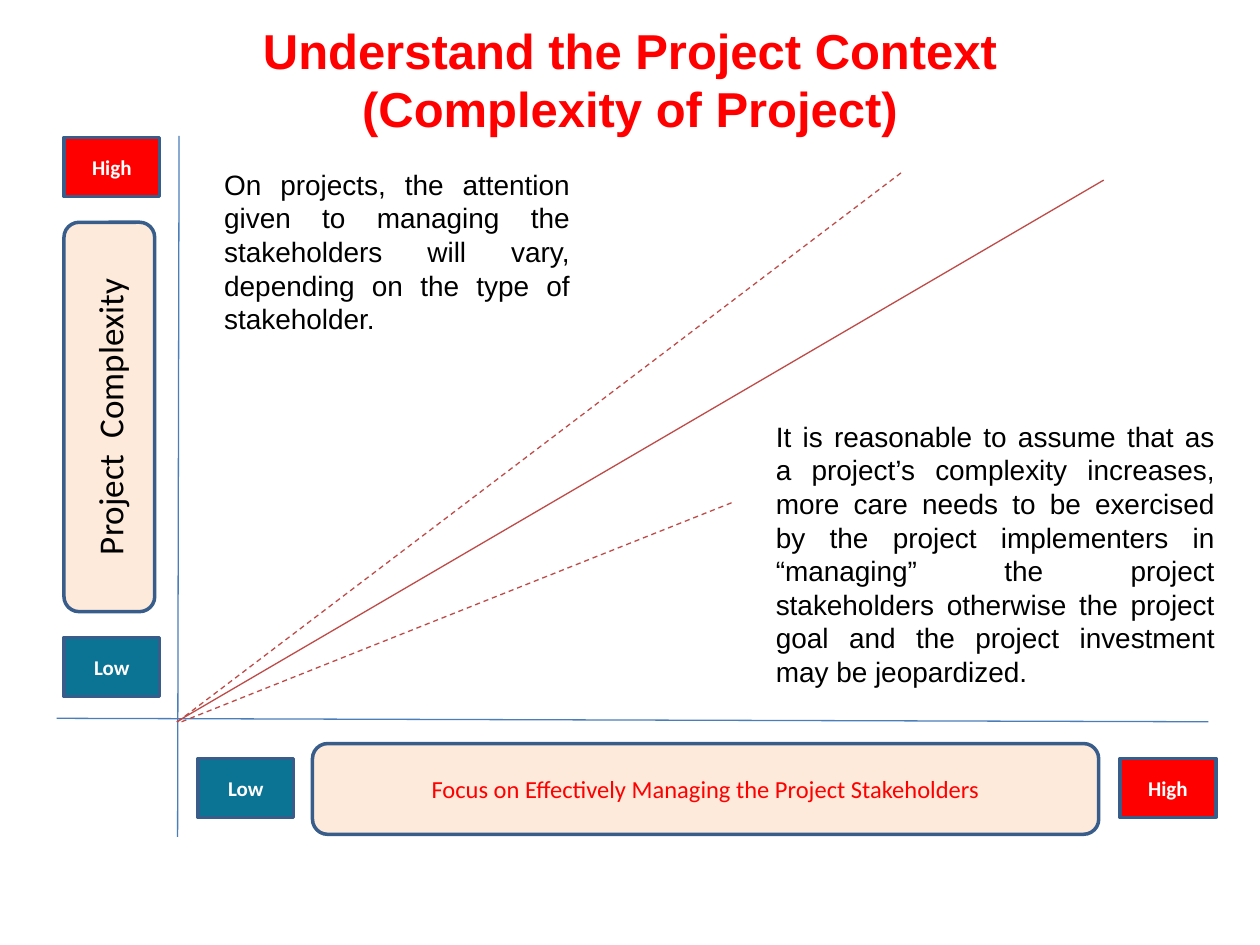
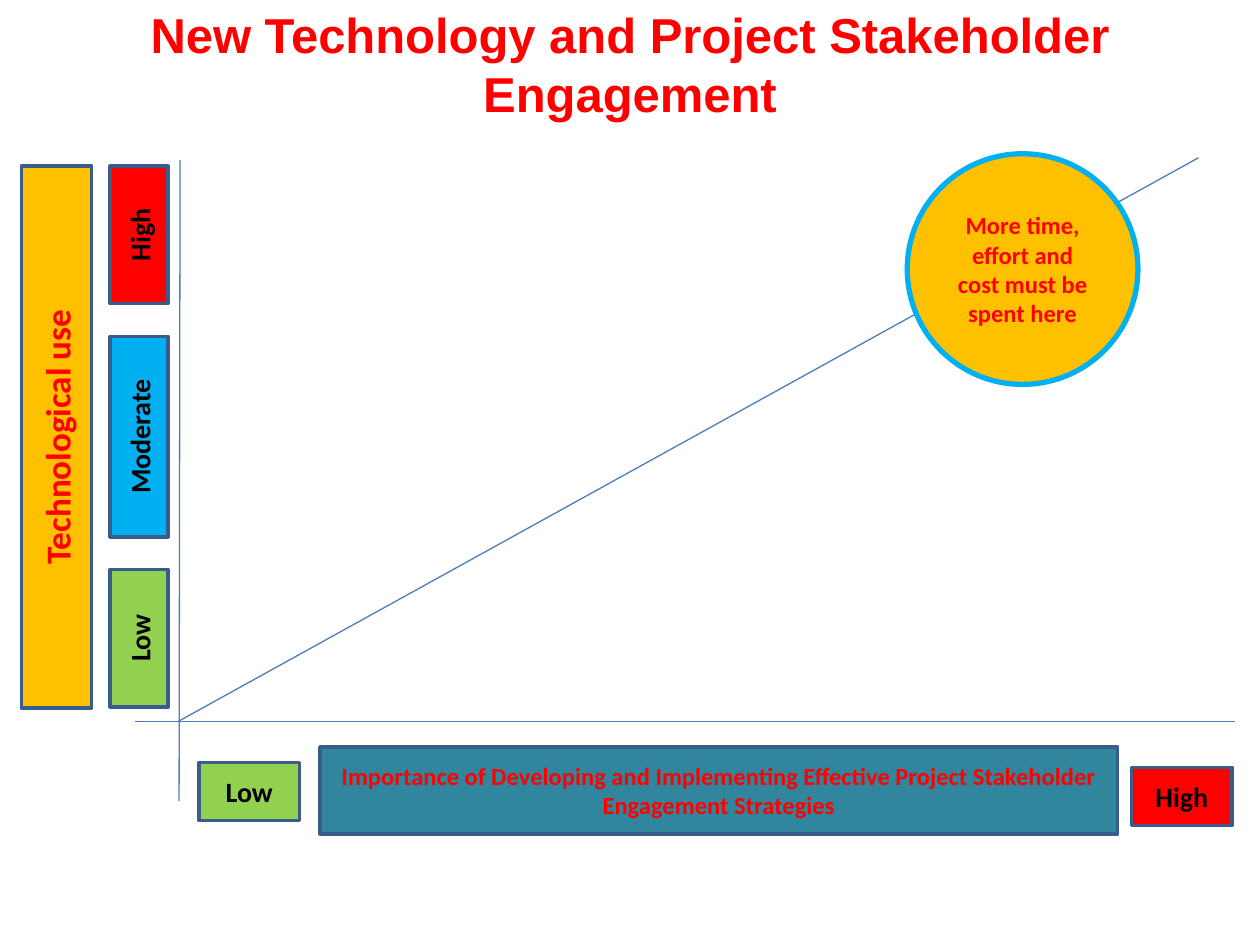
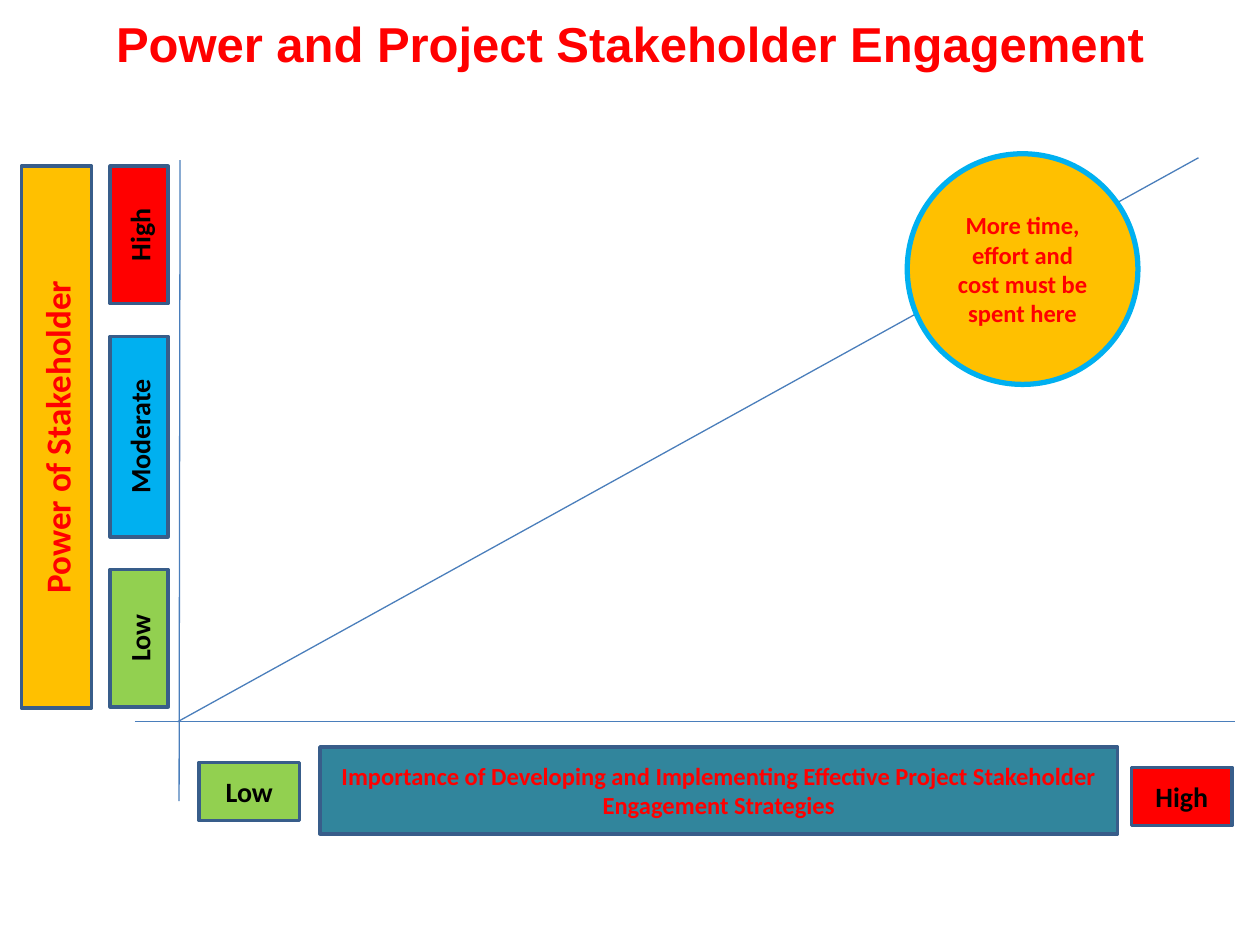
from dataclasses import dataclass, replace

from lxml.etree import SubElement
from pptx import Presentation
from pptx.dml.color import RGBColor
from pptx.enum.dml import MSO_LINE
from pptx.enum.shapes import MSO_CONNECTOR, MSO_SHAPE
from pptx.enum.text import MSO_ANCHOR, MSO_AUTO_SIZE, PP_ALIGN
from pptx.oxml.ns import qn
from pptx.util import Cm, Pt

RED = RGBColor(0xFF, 0x00, 0x00)
WHITE = RGBColor(0xFF, 0xFF, 0xFF)
BLACK = RGBColor(0x00, 0x00, 0x00)
PEACH = RGBColor(0xFD, 0xEA, 0xDA)
PETROL = RGBColor(0x0B, 0x73, 0x93)
TEAL = RGBColor(0x31, 0x85, 0x9C)
AMBER = RGBColor(0xFF, 0xC0, 0x00)
SKY = RGBColor(0x00, 0xB0, 0xF0)
GREEN = RGBColor(0x92, 0xD0, 0x50)
BORDER = RGBColor(0x38, 0x5D, 0x8A)
AXIS_BLUE = RGBColor(0x4A, 0x7E, 0xBB)
TREND_RED = RGBColor(0xBE, 0x4B, 0x48)

TITLE_ONLY_LAYOUT = 5


@dataclass(frozen=True)
class Box:
    """A rectangle in centimetres."""

    left: float
    top: float
    width: float
    height: float

    def inner(self, left, top, width, height):
        """Return a rectangle placed relative to this one."""
        return Box(self.left + left, self.top + top, width, height)

    def turned(self):
        """Return the rectangle that covers this one after a quarter turn."""
        shift = (self.width - self.height) / 2
        return Box(self.left + shift, self.top - shift, self.height, self.width)

    def lengths(self):
        """Return left, top, width and height as slide lengths."""
        return [Cm(value) for value in (self.left, self.top, self.width, self.height)]


@dataclass(frozen=True)
class TextStyle:
    """The look of a text."""

    size: int
    color: RGBColor
    bold: bool = True
    font: str = "Calibri"
    alignment: PP_ALIGN = PP_ALIGN.CENTER


@dataclass(frozen=True)
class Label:
    """A filled box with text."""

    text: str
    fill: RGBColor
    style: TextStyle
    preset: MSO_SHAPE = MSO_SHAPE.RECTANGLE
    border: RGBColor = BORDER
    border_width: float = 2


TITLE_STYLE = TextStyle(28, RED, font="Arial")
NOTE_STYLE = TextStyle(16, BLACK, False, "Arial", PP_ALIGN.JUSTIFY)
END_STYLE = TextStyle(12, WHITE)
LEVEL_STYLE = TextStyle(16, BLACK)

COMPLEXITY_HIGH = Label("High", RED, END_STYLE)
COMPLEXITY_LOW = Label("Low", PETROL, END_STYLE)
LEVEL_HIGH = Label("High", RED, LEVEL_STYLE)
LEVEL_MODERATE = Label("Moderate", SKY, LEVEL_STYLE)
LEVEL_LOW = Label("Low", GREEN, LEVEL_STYLE)
AXIS_NAME = Label("", AMBER, TextStyle(20, RED))
COMPLEXITY_BAR = Label("Project  Complexity", PEACH, TextStyle(20, BLACK, False),
                       MSO_SHAPE.ROUNDED_RECTANGLE)
FOCUS_BAR = Label("Focus on Effectively Managing the Project Stakeholders", PEACH,
                  TextStyle(14, RED, False), MSO_SHAPE.ROUNDED_RECTANGLE)
IMPORTANCE_BAR = Label(
    "Importance of Developing and Implementing Effective Project Stakeholder "
    "Engagement Strategies", TEAL, TextStyle(14, RED))
EFFORT_CIRCLE = Label("More time, effort and cost must be spent here", AMBER,
                      TextStyle(14, RED), MSO_SHAPE.OVAL, SKY, 3)


def write_text(paragraph, lines, style):
    """Write lines into one paragraph, run by run."""
    paragraph.alignment = style.alignment
    for index, line in enumerate(lines):
        if index:
            paragraph.add_line_break()
        run = paragraph.add_run()
        run.text = line
        run.font.name = style.font
        run.font.size = Pt(style.size)
        run.font.bold = style.bold
        run.font.color.rgb = style.color


def add_titled_slide(presentation, box, *lines):
    """Add a slide and place its title in the box."""
    slide = presentation.slides.add_slide(presentation.slide_layouts[TITLE_ONLY_LAYOUT])
    title = slide.shapes.title
    title.left, title.top, title.width, title.height = box.lengths()
    frame = title.text_frame
    frame.word_wrap = True
    frame.auto_size = MSO_AUTO_SIZE.NONE
    frame.vertical_anchor = MSO_ANCHOR.MIDDLE
    write_text(frame.paragraphs[0], lines, TITLE_STYLE)
    return slide


def add_label(slide, box, label, upright=False):
    """Add a label that fills the box, with text reading upward if upright."""
    placed = box.turned() if upright else box
    shape = slide.shapes.add_shape(label.preset, *placed.lengths())
    shape.rotation = 270 if upright else 0
    shape.shadow.inherit = False
    shape.fill.solid()
    shape.fill.fore_color.rgb = label.fill
    shape.line.color.rgb = label.border
    shape.line.width = Pt(label.border_width)
    frame = shape.text_frame
    frame.word_wrap = True
    frame.vertical_anchor = MSO_ANCHOR.MIDDLE
    write_text(frame.paragraphs[0], [label.text], label.style)


def add_note(slide, box, text):
    """Add a justified note in the box."""
    note = slide.shapes.add_textbox(*box.lengths())
    note.line.color.rgb = WHITE
    note.line.width = Pt(0.75)
    note.text_frame.word_wrap = True
    write_text(note.text_frame.paragraphs[0], [text], NOTE_STYLE)


def add_line(slide, box, start, end, color, dashed=False):
    """Add a thin line between two points relative to the box."""
    points = [Cm(value) for x, y in (start, end) for value in (box.left + x, box.top + y)]
    connector = slide.shapes.add_connector(MSO_CONNECTOR.STRAIGHT, *points)
    connector.line.color.rgb = color
    connector.line.width = Pt(0.75)
    if dashed:
        connector.line.dash_style = MSO_LINE.DASH
    SubElement(connector._element.spPr, qn("a:effectLst"))


def add_bottom_scale(slide, box, low, high, bar, bar_span, end_size, drops):
    """Add a bar between a low label and a high label."""
    width, height = end_size
    low_drop, high_drop = drops
    bar_left, bar_width = bar_span
    add_label(slide, box.inner(0, low_drop, width, height), low)
    add_label(slide, box.inner(bar_left, 0, bar_width, box.height), bar)
    add_label(slide, box.inner(box.width - width, high_drop, width, height), high)


def add_complexity_scale(slide, box):
    """Add the upright complexity bar between its high and low labels."""
    end_height = 1.19
    gap = 0.52
    bar_top = end_height + gap
    bar_height = box.height - 2 * bar_top
    add_label(slide, box.inner(0, 0, box.width, end_height), COMPLEXITY_HIGH)
    add_label(slide, box.inner(0, bar_top, 1.83, bar_height), COMPLEXITY_BAR, upright=True)
    add_label(slide, box.inner(0, box.height - end_height, box.width, end_height),
              COMPLEXITY_LOW)


def add_complexity_plot(slide, box):
    """Add the axes and the spread of trend lines."""
    bottom = box.height
    add_line(slide, box, (-2.44, bottom - 0.07), (20.78, bottom), AXIS_BLUE)
    add_line(slide, box, (0.03, 0), (0, bottom + 2.32), AXIS_BLUE)
    add_line(slide, box, (0.08, bottom), (11.23, 7.37), TREND_RED, dashed=True)
    add_line(slide, box, (-0.02, bottom), (18.67, 0.89), TREND_RED)
    add_line(slide, box, (0, bottom), (14.63, 0.71), TREND_RED, dashed=True)


def add_level_scale(slide, box, name):
    """Add the upright axis name beside its three levels."""
    add_label(slide, box.inner(0, 0, 1.42, box.height), replace(AXIS_NAME, text=name),
              upright=True)
    gap = 0.66
    top = 0
    for label, height in ((LEVEL_HIGH, 2.77), (LEVEL_MODERATE, 4.04), (LEVEL_LOW, 2.77)):
        add_label(slide, box.inner(1.79, top, 1.17, height), label, upright=True)
        top += height + gap


def add_engagement_plot(slide, box):
    """Add the axes, the rising line and the circle on it."""
    bottom = box.height
    add_line(slide, box, (0.02, 0), (0, bottom + 1.6), AXIS_BLUE)
    add_line(slide, box, (-0.89, bottom), (box.width, bottom), AXIS_BLUE)
    add_line(slide, box, (-0.03, bottom), (20.55, -0.05), AXIS_BLUE)
    add_label(slide, box.inner(14.68, -0.13, 4.65, 4.65), EFFORT_CIRCLE)


def build_complexity_slide(presentation):
    """Build the slide on project complexity."""
    slide = add_titled_slide(presentation, Box(1.27, 0, 22.86, 3.18),
                             "Understand the Project Context", "(Complexity of Project)")
    add_complexity_plot(slide, Box(3.58, 2.74, 20.78, 11.81))
    add_complexity_scale(slide, Box(1.29, 2.77, 1.93, 11.27))
    add_bottom_scale(slide, Box(3.99, 14.99, 20.52, 1.83), COMPLEXITY_LOW, COMPLEXITY_HIGH,
                     FOCUS_BAR, (2.31, 15.85), (1.93, 1.19), (0.3, 0.3))
    add_note(slide, Box(15.39, 8.33, 9.35, 5.69),
             "It is reasonable to assume that as a project’s complexity increases, more care "
             "needs to be exercised by the project implementers in “managing” the project "
             "stakeholders otherwise the project goal and the project investment may be "
             "jeopardized.")
    add_note(slide, Box(4.27, 3.25, 7.47, 3.66),
             "On projects, the attention given to managing the stakeholders will vary, "
             "depending on the type of stakeholder.")


def build_engagement_slide(presentation, title, title_top, axis_name):
    """Build a slide that sets one factor against stakeholder engagement."""
    slide = add_titled_slide(presentation, Box(1.27, title_top, 22.86, 1.73), title)
    add_engagement_plot(slide, Box(3.61, 3.23, 21.28, 11.32))
    add_level_scale(slide, Box(0.43, 3.35, 2.96, 10.92), axis_name)
    add_bottom_scale(slide, Box(4.01, 15.06, 20.83, 1.75), LEVEL_LOW, LEVEL_HIGH,
                     IMPORTANCE_BAR, (2.44, 16.08), (2.03, 1.17), (0.31, 0.41))


def main():
    """Build and save the presentation."""
    presentation = Presentation()
    presentation.slide_width = Cm(25.4)
    presentation.slide_height = Cm(19.05)
    build_complexity_slide(presentation)
    build_engagement_slide(presentation, "New Technology and Project Stakeholder Engagement",
                           0.41, "Technological use")
    build_engagement_slide(presentation, "Power and Project Stakeholder Engagement",
                           0, "Power of Stakeholder")
    presentation.save("out.pptx")


if __name__ == "__main__":
    main()
